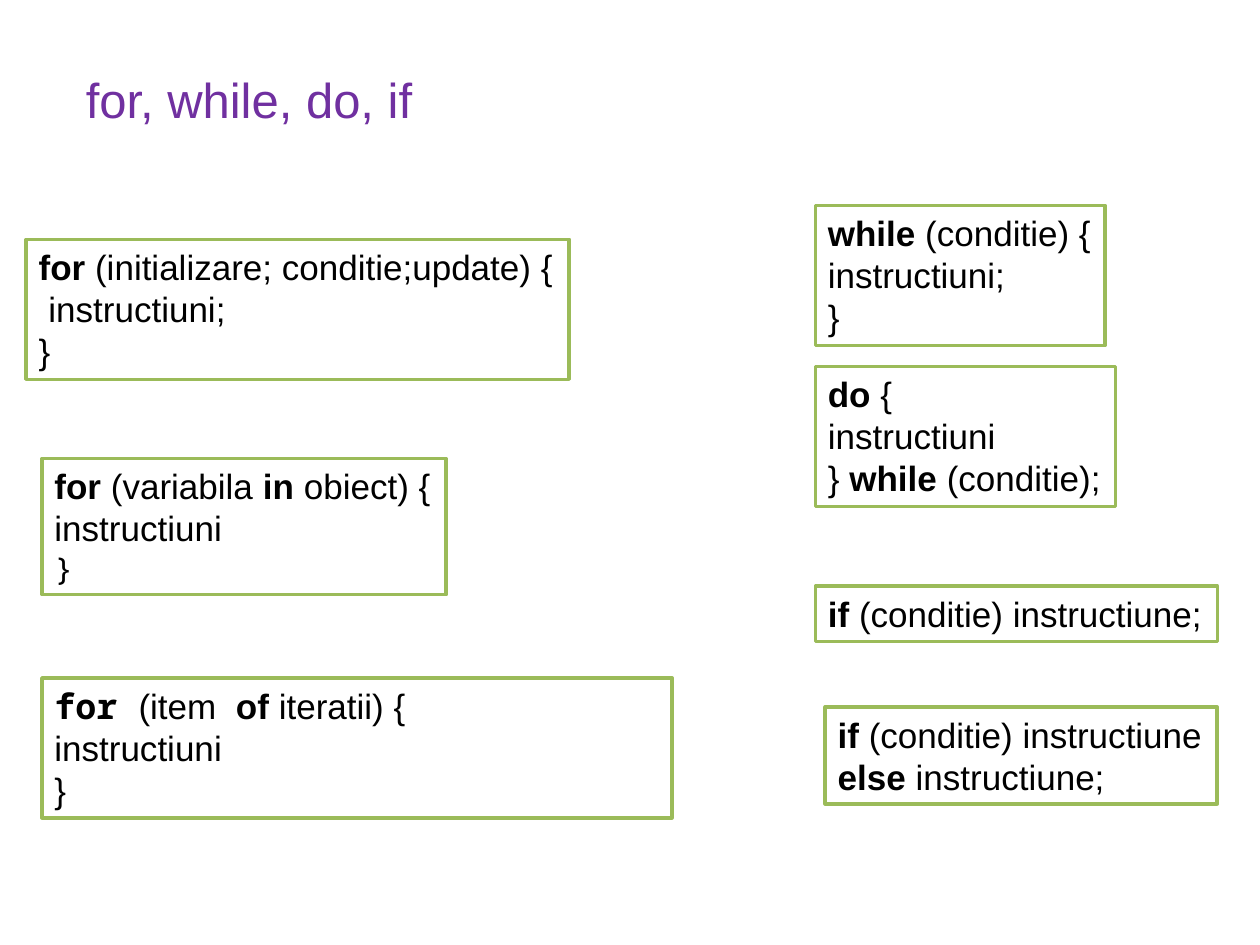
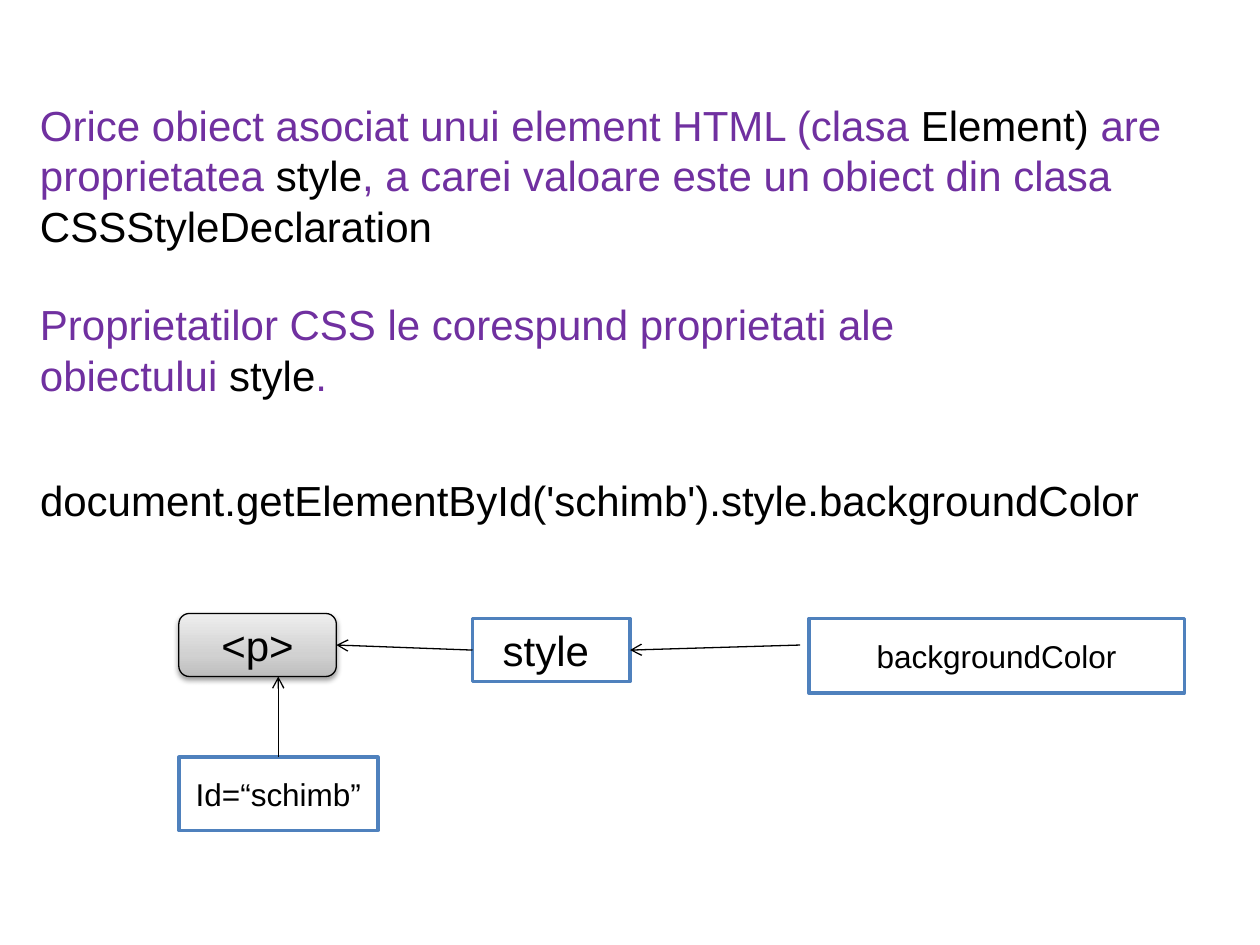
import copy
from dataclasses import dataclass

import pptx
import pptx.dml.color
import pptx.enum.shapes
import pptx.enum.text
import pptx.oxml
import pptx.oxml.ns
import pptx.util
from lxml import etree

Pt = pptx.util.Pt
qn = pptx.oxml.ns.qn
Shape = pptx.enum.shapes.MSO_SHAPE
Anchor = pptx.enum.text.MSO_ANCHOR
Align = pptx.enum.text.PP_ALIGN
Fit = pptx.enum.text.MSO_AUTO_SIZE

HUES = {
    "ink": "000000",
    "paper": "FFFFFF",
    "title": "7030A0",
    "code": "9BBB59",
    "node": "4F81BD",
}
GREYS = [(0, "BDBDBD"), (0.35, "D1D1D1"), (1, "EEEEEE")]
SANS, MONO = "Arial", "Noto Sans Mono"


@dataclass
class Box:
    left: float
    top: float
    width: float
    height: float
    lines: list[str]

    def rect(self) -> list[int]:
        return [Pt(n) for n in (self.left, self.top, self.width, self.height)]


@dataclass
class Arrow:
    x1: float
    y1: float
    x2: float
    y2: float


LEFT, RIGHT = 24, 466
FOR = Box(15, 136.8, 310.3, 80,
          ["*for* (initializare; conditie;update) {", " instructiuni;", "}"])
FOR_IN = Box(LEFT, 262, 231, 77.8,
             ["*for* (variabila *in *obiect) {", "instructiuni", "}"])
FOR_OF = Box(LEFT, 387.4, 360, 80,
             ["*for *(item  *of *iteratii) {", "instructiuni", "}"])
OTHERS = [
    Box(RIGHT, 117.4, 165.6, 80, ["*while* (conditie) {", "instructiuni;", "}"]),
    Box(RIGHT, 209.5, 171.4, 80,
        ["*do* {", "instructiuni", "} *while* (conditie);"]),
    Box(RIGHT, 335, 229.7, 31.7, ["*if* (conditie) instructiune;"]),
    Box(471.6, 404, 224, 55.4,
        ["*if *(conditie) instructiune", "*else *instructiune;"]),
]

PROSE = Box(15.8, 53.2, 666.7, 207, [
    "Orice obiect asociat unui element HTML (clasa *Element) *are",
    "proprietatea *style*, a carei valoare este un obiect din clasa "
    "*CSSStyleDeclaration*",
    "Proprietatilor CSS le corespund proprietati ale",
    "obiectului *style*.",
])
CALL = Box(15.8, 267.8, 674, 36,
           ["document.getElementById('schimb').style.backgroundColor"])
TAG = Box(102.2, 350.6, 90, 36, ["<p>"])
STYLE = Box(270, 353.5, 90, 36, ["style"])
NODES = [
    Box(462.2, 353.5, 214.6, 42.5, ["backgroundColor"]),
    Box(102.2, 432.7, 113.8, 41.8, ["Id=“schimb”"]),
]
ARROWS = [
    Arrow(159, 432.7, 159, 386.6),
    Arrow(270, 371.5, 192.2, 368.6),
    Arrow(457.2, 368.6, 360, 371.5),
]


def rgb(hue: str) -> pptx.dml.color.RGBColor:
    return pptx.dml.color.RGBColor.from_string(hue)


def write(frame, lines: list[str], size: float, hue: str = "ink",
          bold: bool = True) -> None:
    """Fill a frame; text between asterisks is black, and bold if asked."""
    for num, line in enumerate(lines):
        para = frame.add_paragraph() if num else frame.paragraphs[0]
        para.alignment = Align.LEFT
        for part, text in enumerate(line.split("*")):
            if not text:
                continue
            marked = part % 2 == 1
            run = para.add_run()
            run.text = text
            font = run.font
            font.name, font.size = SANS, Pt(size)
            font.bold = marked and bold
            font.color.rgb = rgb(HUES["ink" if marked else hue])


def frame_in(slide, box: Box, edge: str, width: float, kind=Shape.RECTANGLE):
    """Add a white outlined shape without shadow."""
    shape = slide.shapes.add_shape(kind, *box.rect())
    shape.shadow.inherit = False
    shape.fill.solid()
    shape.fill.fore_color.rgb = rgb(HUES["paper"])
    shape.line.color.rgb = rgb(HUES[edge])
    shape.line.width = Pt(width)
    return shape


def add_code(slide, box: Box, wrap: bool = False):
    shape = frame_in(slide, box, "code", 2)
    frame = shape.text_frame
    frame.word_wrap = wrap
    frame.auto_size = Fit.SHAPE_TO_FIT_TEXT
    frame.vertical_anchor = Anchor.TOP
    write(frame, box.lines, 20)
    return frame


def add_node(slide, box: Box, size: float, edge: str = "node",
             width: float = 2, kind=Shape.RECTANGLE):
    shape = frame_in(slide, box, edge, width, kind)
    frame = shape.text_frame
    frame.word_wrap = True
    frame.vertical_anchor = Anchor.MIDDLE
    write(frame, box.lines, size)
    frame.paragraphs[0].alignment = Align.CENTER
    return shape


def add_text(slide, box: Box, hue: str):
    frame = slide.shapes.add_textbox(*box.rect()).text_frame
    frame.word_wrap = True
    write(frame, box.lines, 24, hue, bold=False)
    return frame


def add_arrow(slide, arrow: Arrow) -> None:
    ends = [Pt(n) for n in (arrow.x1, arrow.y1, arrow.x2, arrow.y2)]
    line = slide.shapes.add_connector(
        pptx.enum.shapes.MSO_CONNECTOR.STRAIGHT, *ends)
    line.line.color.rgb = rgb(HUES["ink"])
    line.line.width = Pt(0.75)
    props = line.element.spPr
    etree.SubElement(props.find(qn("a:ln")), qn("a:tailEnd"), type="arrow")
    etree.SubElement(props, qn("a:effectLst"))


def shade(shape) -> None:
    """Give a shape the grey gradient and a soft shadow below."""
    shape.fill.gradient()
    shape.fill.gradient_angle = 90
    props = shape.element.spPr
    stops = props.find(qn("a:gradFill")).find(qn("a:gsLst"))
    stops.append(copy.deepcopy(stops[0]))
    for stop, (place, hue) in zip(shape.fill.gradient_stops, GREYS):
        stop.position = place
        stop.color.rgb = rgb(hue)
    drop = etree.SubElement(
        props.find(qn("a:effectLst")), qn("a:outerShdw"),
        blurRad=str(Pt(3.1)), dist=str(Pt(1.6)), dir="5400000",
        rotWithShape="0")
    tint = etree.SubElement(drop, qn("a:srgbClr"), val=HUES["ink"])
    etree.SubElement(tint, qn("a:alpha"), val="38000")


def build_loops(deck) -> None:
    slide = deck.slides.add_slide(deck.slide_layouts[5])
    title = slide.shapes.title
    title.left, title.top, title.width, title.height = (
        Pt(41.8), Pt(36), Pt(211), Pt(41))
    frame = title.text_frame
    frame.word_wrap = False
    frame.auto_size = Fit.NONE
    frame.vertical_anchor = Anchor.TOP
    write(frame, ["for, while, do, if"], 28, "title")

    for box in [FOR, *OTHERS]:
        add_code(slide, box)
    brace = add_code(slide, FOR_IN).paragraphs[-1].runs[0].font
    brace.name, brace.size = MONO, Pt(18)
    word = add_code(slide, FOR_OF, wrap=True).paragraphs[0].runs[0].font
    word.name = MONO


def build_style(deck) -> None:
    slide = deck.slides.add_slide(deck.slide_layouts[6])
    prose = add_text(slide, PROSE, "title")
    prose.paragraphs[2].space_before = Pt(27.6)
    add_text(slide, CALL, "ink")

    shade(add_node(slide, TAG, 24, "ink", 0.75, Shape.ROUNDED_RECTANGLE))
    frame = add_node(slide, STYLE, 24).text_frame
    frame.margin_left = Pt(17.2)
    frame.vertical_anchor = Anchor.TOP
    frame.paragraphs[0].alignment = Align.LEFT
    for box in NODES:
        add_node(slide, box, 18)
    for arrow in ARROWS:
        add_arrow(slide, arrow)


def main() -> None:
    deck = pptx.Presentation()
    deck.slide_width, deck.slide_height = Pt(720), Pt(540)
    build_loops(deck)
    build_style(deck)
    deck.save("out.pptx")


if __name__ == "__main__":
    main()
